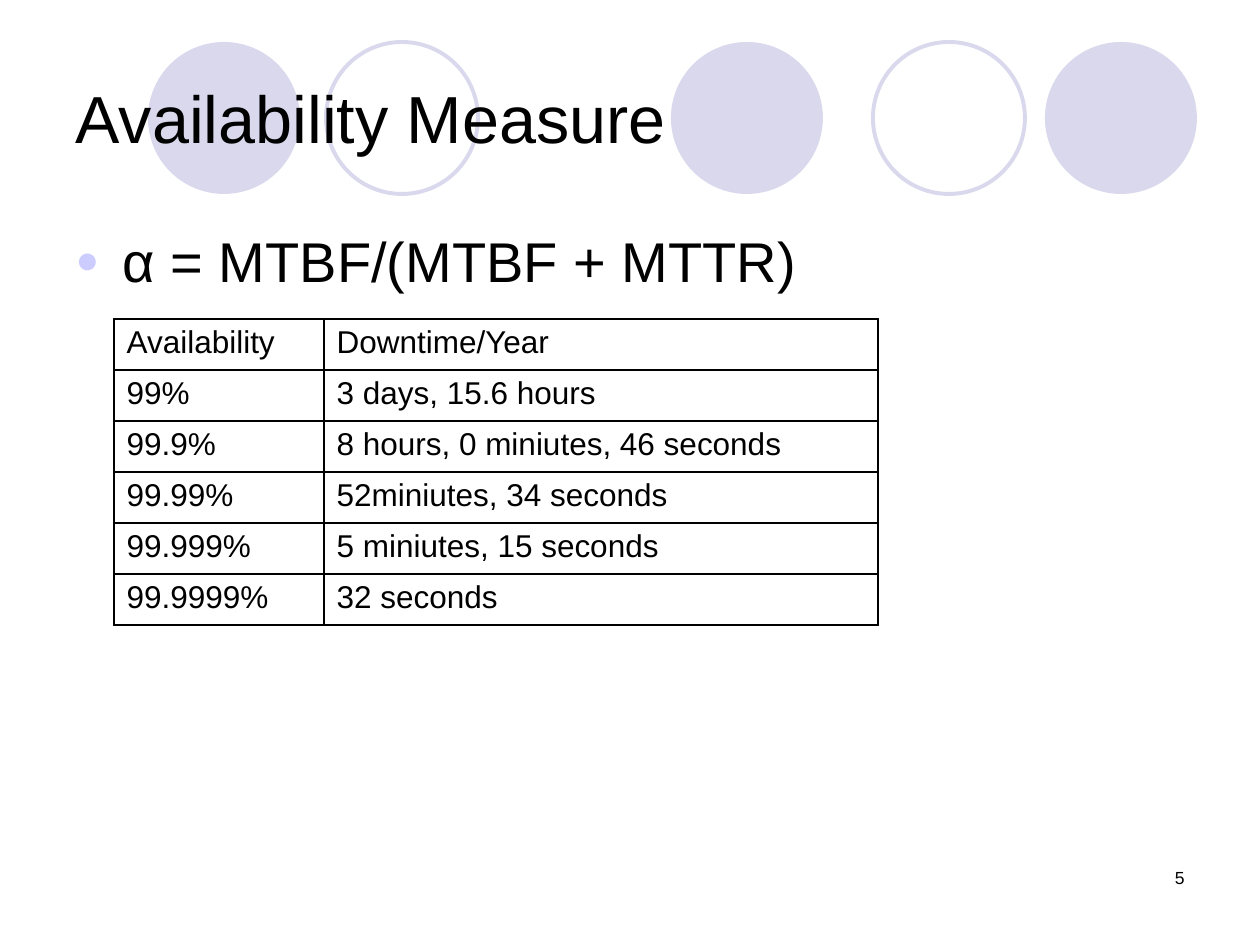
import pptx
import pptx.util
import pptx.dml.color
import pptx.enum.shapes
import pptx.enum.text
import pptx.oxml
import pptx.oxml.ns

SCALE = 914400 // 126  # EMU per pixel
COLORS = {"text": "000000", "circle": "D9D8EC", "bullet": "CCCCFF", "border": "000000"}
FONT = "Arial"
NAMESPACE = pptx.oxml.ns.nsdecls("a")
ROWS = [
    ("Availability ", "Downtime/Year"),
    ("99%", "3 days, 15.6 hours"),
    ("99.9%", "8 hours, 0 miniutes, 46 seconds"),
    ("99.99%", "52miniutes, 34 seconds"),
    ("99.999%", "5 miniutes, 15 seconds"),
    ("99.9999%", "32 seconds"),
]


def px(length):
    return pptx.util.Emu(length * SCALE)


def color(name):
    return pptx.dml.color.RGBColor.from_string(COLORS[name])


def style(para, size):
    para.font.name = FONT
    para.font.size = pptx.util.Pt(size)
    para.font.color.rgb = color("text")


def place(shape, box):
    shape.left, shape.top, shape.width, shape.height = map(px, box)


def add_circles(page, box):
    """Row of filled and outlined circles; offsets run from the box's left edge."""
    left, top, _, size = box
    for offset, filled in ((0, True), (178, False), (523, True), (725, False), (897, True)):
        circle = page.shapes.add_shape(
            pptx.enum.shapes.MSO_SHAPE.OVAL, px(left + offset), px(top), px(size), px(size))
        circle.shadow.inherit = False
        if filled:
            circle.fill.solid()
            circle.fill.fore_color.rgb = color("circle")
            circle.line.fill.background()
        else:
            circle.fill.background()
            circle.line.color.rgb = color("circle")
            circle.line.width = pptx.util.Pt(2.25)


def fill_placeholder(shape, box, text, size, anchor, align):
    """Place a placeholder in front of the circles and set its text."""
    shape.element.getparent().append(shape.element)
    place(shape, box)
    frame = shape.text_frame
    frame.text = text
    frame.word_wrap = True
    frame.auto_size = pptx.enum.text.MSO_AUTO_SIZE.NONE
    frame.vertical_anchor = anchor
    para = frame.paragraphs[0]
    para.alignment = align
    style(para, size)
    return para


def add_bullet(para):
    properties = para._p.get_or_add_pPr()
    parts = (
        f'<a:buClr {NAMESPACE}><a:srgbClr val="{COLORS["bullet"]}"/></a:buClr>',
        f'<a:buSzPct {NAMESPACE} val="70000"/>',
        f'<a:buFont {NAMESPACE} typeface="{FONT}"/>',
        f'<a:buChar {NAMESPACE} char="●"/>',
    )
    for index, part in enumerate(parts):
        properties.insert(index, pptx.oxml.parse_xml(part))


def border_cell(cell):
    properties = cell._tc.get_or_add_tcPr()
    for index, side in enumerate(("lnL", "lnR", "lnT", "lnB")):
        properties.insert(index, pptx.oxml.parse_xml(
            f'<a:{side} {NAMESPACE} w="12700"><a:solidFill>'
            f'<a:srgbClr val="{COLORS["border"]}"/></a:solidFill></a:{side}>'))


def add_downtime_table(page, box):
    left, top, width, height = box
    first_width = 210
    table = page.shapes.add_table(
        len(ROWS), 2, px(left), px(top), px(width), px(height)).table
    table.first_row = table.horz_banding = False
    table.columns[0].width = px(first_width)
    table.columns[1].width = px(width - first_width)
    for row, texts in zip(table.rows, ROWS):
        row.height = px(height // len(ROWS))
        for cell, text in zip(row.cells, texts):
            cell.text = text
            cell.fill.background()
            style(cell.text_frame.paragraphs[0], 18)
            border_cell(cell)


def add_page_number(page, box, number):
    label = page.shapes.add_textbox(*map(px, box))
    label.text_frame.word_wrap = True
    para = label.text_frame.paragraphs[0]
    para.text = number
    para.alignment = pptx.enum.text.PP_ALIGN.RIGHT
    style(para, 10)


def build_slide(deck):
    page = deck.slides.add_slide(deck.slide_layouts[1])
    anchors = pptx.enum.text.MSO_ANCHOR
    left = pptx.enum.text.PP_ALIGN.LEFT
    add_circles(page, (148, 42, 1049, 152))
    # Title and formula
    fill_placeholder(page.shapes.title, (63, 38, 1134, 157),
                     "Availability Measure", 38, anchors.MIDDLE, left)
    formula = fill_placeholder(page.placeholders[1], (63, 220, 1134, 624),
                               "α = MTBF/(MTBF + MTTR)", 32, anchors.TOP, left)
    add_bullet(formula)
    # Page number and table
    add_page_number(page, (903, 861, 294, 63), "5")
    add_downtime_table(page, (114, 319, 764, 306))


deck = pptx.Presentation()
deck.slide_width, deck.slide_height = px(1260), px(945)
build_slide(deck)
deck.save("out.pptx")
